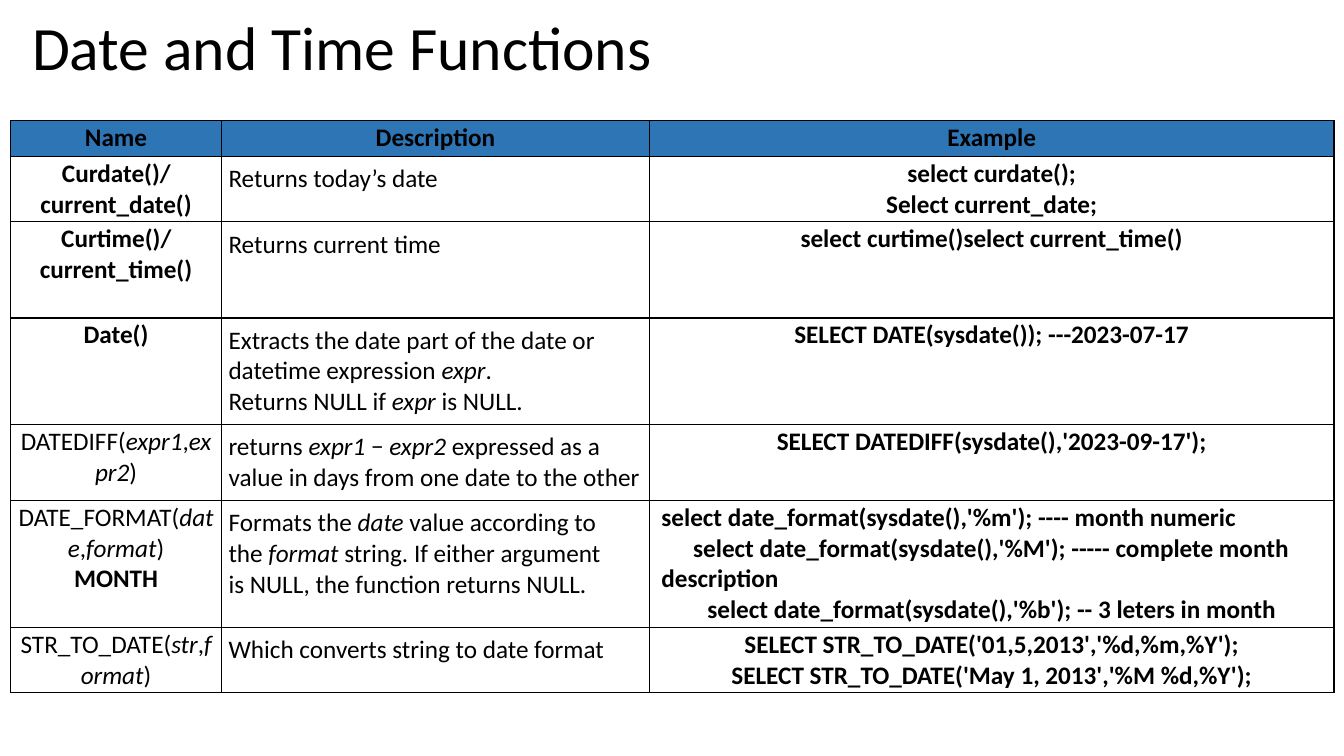
from dataclasses import dataclass

from lxml import etree
from pptx import Presentation
from pptx.dml.color import RGBColor
from pptx.enum.text import MSO_ANCHOR, PP_ALIGN
from pptx.oxml.ns import qn
from pptx.util import Cm, Pt

LEFT, CENTER = PP_ALIGN.LEFT, PP_ALIGN.CENTER
TOP = MSO_ANCHOR.TOP
BLACK = RGBColor(0x00, 0x00, 0x00)
WHITE = RGBColor(0xFF, 0xFF, 0xFF)
BLUE = RGBColor(0x2E, 0x75, 0xB6)
FONT = "Calibri"
NO_BREAK_SPACE = chr(160)
COLUMN_WIDTHS = (5.31, 10.79, 17.25)


@dataclass(frozen=True)
class Line:
    """One paragraph: *...* is italic and ~ is a space that does not break."""
    text: str
    bold: bool = True
    align: PP_ALIGN = CENTER
    margin: float = 0
    indent: float = 0


@dataclass(frozen=True)
class FunctionRow:
    height: float
    name: tuple[Line, ...]
    description: str
    example: tuple[Line, ...]


HEADINGS = ("Name", "Description", "Example")
FUNCTION_ROWS = (
    FunctionRow(1.64, (Line("Curdate()/current_date()"),),
                "Returns today’s date",
                (Line("select curdate();"), Line("Select current_date;"))),
    FunctionRow(2.42, (Line("Curtime()/current_time()"),),
                "Returns current time",
                (Line("select curtime()select current_time()"),)),
    FunctionRow(2.67, (Line("Date()"),),
                "Extracts the date part of the date or datetime expression~*expr*. "
                "Returns~NULL~if~*expr*~is~NULL.",
                (Line("SELECT DATE(sysdate()); ---2023-07-17"),)),
    FunctionRow(1.89, (Line("DATEDIFF(*expr1*,*expr2*)", bold=False),),
                "returns~*expr1*~−~*expr2*~expressed as a value in days "
                "from one date to the other",
                (Line("SELECT DATEDIFF(sysdate(),'2023-09-17');"),)),
    FunctionRow(3.2, (Line("DATE_FORMAT(*date*,*format*)", bold=False), Line("MONTH")),
                "Formats the~*date*~value according to the~*format*~string. "
                "If either argument is~NULL, the function returns~NULL.",
                (Line("select date_format(sysdate(),'%m'); ---- month numeric",
                      align=LEFT, margin=0.2),
                 Line("select date_format(sysdate(),'%M'); ----- complete month description",
                      align=LEFT, margin=0.2, indent=0.8),
                 Line("select date_format(sysdate(),'%b'); -- 3 leters in month"))),
    FunctionRow(1.64, (Line("STR_TO_DATE(*str*,*format*)", bold=False),),
                "Which converts string to date format",
                (Line("SELECT STR_TO_DATE('01,5,2013','%d,%m,%Y');"),
                 Line("SELECT STR_TO_DATE('May 1, 2013','%M %d,%Y');"))),
)


def write_text(para, text: str, *, size: float = 18, bold: bool = False,
               align: PP_ALIGN = LEFT, spacing: float = 1.0) -> None:
    para.alignment = align
    para.line_spacing = spacing
    for index, part in enumerate(text.replace("~", NO_BREAK_SPACE).split("*")):
        if part:
            span = para.add_run()
            span.text = part
            span.font.name = FONT
            span.font.size = Pt(size)
            span.font.bold = bold
            span.font.italic = index % 2 == 1
            span.font.color.rgb = BLACK


def set_indent(para, margin: float, indent: float) -> None:
    properties = para._p.get_or_add_pPr()
    properties.set("marL", str(Cm(margin)))
    properties.set("indent", str(Cm(indent)))


def add_borders(cell) -> None:
    properties = cell._tc.get_or_add_tcPr()
    for index, side in enumerate(("lnL", "lnR", "lnT", "lnB")):
        border = etree.Element(qn(f"a:{side}"), w=str(Pt(1)))
        fill = etree.SubElement(border, qn("a:solidFill"))
        etree.SubElement(fill, qn("a:srgbClr"), val=str(BLACK))
        properties.insert(index, border)


def fill_cell(cell, lines: tuple[Line, ...], *, color: RGBColor = WHITE,
              side: float = 0.1, top: float = 0.05) -> None:
    cell.margin_left = cell.margin_right = Cm(side)
    cell.margin_top = cell.margin_bottom = Cm(top)
    cell.vertical_anchor = TOP
    cell.fill.solid()
    cell.fill.fore_color.rgb = color
    add_borders(cell)
    frame = cell.text_frame
    for index, line in enumerate(lines):
        para = frame.add_paragraph() if index else frame.paragraphs[0]
        write_text(para, line.text, bold=line.bold, align=line.align)
        if line.margin or line.indent:
            set_indent(para, line.margin, line.indent)


def add_title(page, text: str) -> None:
    box = page.shapes.add_textbox(Cm(0.56), Cm(0.3), Cm(31.4), Cm(2.26))
    frame = box.text_frame
    frame.word_wrap = True
    frame.vertical_anchor = TOP
    write_text(frame.paragraphs[0], text, size=44, spacing=0.9)


def add_function_table(page) -> None:
    heights = (0.91, *(row.height for row in FUNCTION_ROWS))
    table = page.shapes.add_table(
        len(heights), len(COLUMN_WIDTHS), Cm(0.27), Cm(3.03),
        Cm(sum(COLUMN_WIDTHS)), Cm(sum(heights))).table
    table.horz_banding = False
    for column, width in zip(table.columns, COLUMN_WIDTHS):
        column.width = Cm(width)
    for table_row, height in zip(table.rows, heights):
        table_row.height = Cm(height)
    for column, heading in enumerate(HEADINGS):
        fill_cell(table.cell(0, column), (Line(heading),), color=BLUE)
    for index, row in enumerate(FUNCTION_ROWS, start=1):
        description = Line(row.description, bold=False, align=LEFT)
        fill_cell(table.cell(index, 0), row.name)
        fill_cell(table.cell(index, 1), (description,), side=0.18, top=0.18)
        fill_cell(table.cell(index, 2), row.example)


def main() -> None:
    deck = Presentation()
    deck.slide_width, deck.slide_height = Cm(33.87), Cm(19.05)
    page = deck.slides.add_slide(deck.slide_layouts[6])
    add_function_table(page)
    add_title(page, "Date and Time Functions")
    deck.save("out.pptx")


if __name__ == "__main__":
    main()
